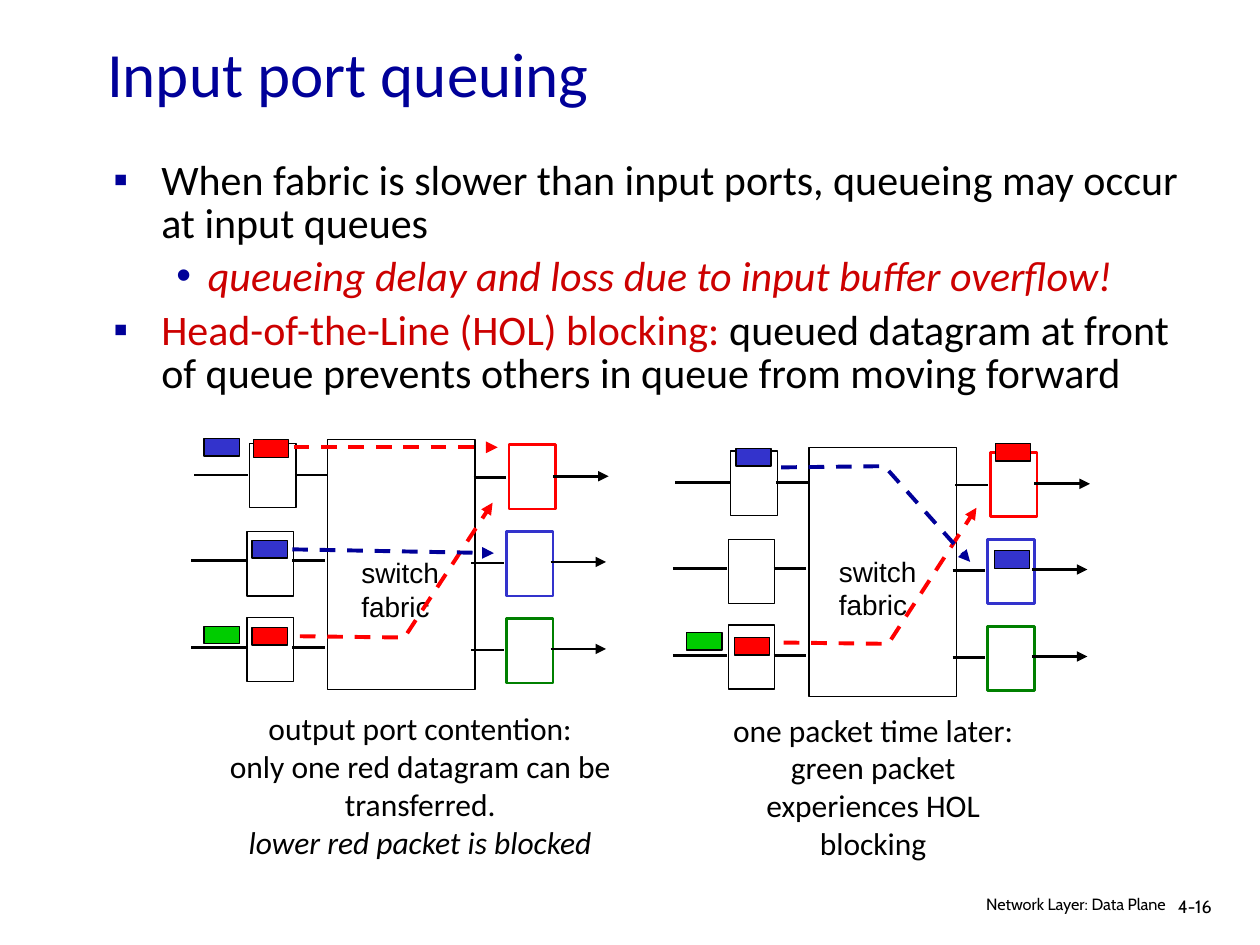
from dataclasses import dataclass

from lxml.etree import SubElement
from pptx import Presentation
from pptx.dml.color import RGBColor
from pptx.enum.dml import MSO_LINE
from pptx.enum.shapes import MSO_CONNECTOR, MSO_SHAPE
from pptx.enum.text import MSO_ANCHOR, MSO_AUTO_SIZE, PP_ALIGN as Align
from pptx.oxml.ns import qn
from pptx.util import Emu, Pt

EMU_PER_PX = 9144  # 100 px to the inch
BLACK, WHITE, NAVY, CRIMSON = "000000", "FFFFFF", "000099", "CC0000"
RED, BLUE, GREEN, DARK_GREEN = "FF0000", "3333CC", "00CC00", "008000"


@dataclass(frozen=True)
class PortRow:
    shift: int
    input_top: int
    input_wire: int
    output_top: int
    output_wire: int
    output_color: str


@dataclass(frozen=True)
class Packet:
    left: int
    top: int
    color: str


@dataclass(frozen=True)
class Route:
    points: tuple
    color: str


@dataclass(frozen=True)
class Run:
    text: str
    color: str = BLACK
    italic: bool = False


@dataclass(frozen=True)
class Bullet:
    runs: tuple
    mark: str = "▪"
    level: int = 0
    margin: int = 38
    hanging: int = 38


PORT_ROWS = (
    PortRow(0, 352, 377, 353, 379, RED),
    PortRow(-2, 422, 445, 422, 447, BLUE),
    PortRow(-2, 490, 514, 491, 516, DARK_GREEN),
)
BULLETS = (
    Bullet((Run("When fabric is slower than input ports, queueing may occur at input queues"),)),
    Bullet((Run("queueing delay and loss due to input buffer overflow!", CRIMSON, True),),
           "•", 1, 75, 25),
    Bullet((Run("Head-of-the-Line (HOL) blocking:", CRIMSON),
            Run(" queued datagram at front of queue prevents others in queue"
                " from moving forward"))),
)
PACKETS_NOW = (
    Packet(201, 349, RED), Packet(200, 429, BLUE), Packet(200, 498, RED),
    Packet(162, 348, BLUE), Packet(162, 497, GREEN),
)
PACKETS_LATER = (
    Packet(790, 352, RED), Packet(584, 356, BLUE), Packet(583, 506, RED),
    Packet(545, 502, GREEN), Packet(789, 437, BLUE),
)
ROUTES_NOW = (
    Route(((233, 355), (395, 355)), RED),
    Route(((238, 505), (321, 506), (391, 399)), RED),
    Route(((232, 436), (392, 439)), NAVY),
)
ROUTES_LATER = (
    Route(((622, 510), (705, 511), (775, 403)), RED),
    Route(((620, 371), (702, 370), (770, 446)), NAVY),
)


def px(*lengths: int) -> list:
    return [Emu(length * EMU_PER_PX) for length in lengths]


def rgb(color: str) -> RGBColor:
    return RGBColor.from_string(color)


def set_font(font, size: float, name: str, color: str = BLACK, italic: bool = False) -> None:
    font.size, font.name, font.italic = Pt(size), name, italic
    font.color.rgb = rgb(color)


def style_line(line, color: str, width: float, dashed: bool = False, arrow: bool = False) -> None:
    line.color.rgb = rgb(color)
    line.width = Pt(width)
    if dashed:
        line.dash_style = MSO_LINE.DASH
    if arrow:
        SubElement(line.fill._xPr, qn("a:tailEnd"), type="triangle")


def add_box(shapes, left: int, top: int, width: int, height: int,
            fill: str = WHITE, line: str = BLACK, weight: float = 0.75) -> None:
    shape = shapes.add_shape(MSO_SHAPE.RECTANGLE, *px(left, top, width, height))
    shape.shadow.inherit = False
    shape.fill.solid()
    shape.fill.fore_color.rgb = rgb(fill)
    style_line(shape.line, line, weight)


def add_line(shapes, start: tuple, end: tuple, color: str = BLACK, width: float = 1.5,
             dashed: bool = False, arrow: bool = False) -> None:
    connector = shapes.add_connector(MSO_CONNECTOR.STRAIGHT, *px(*start, *end))
    style_line(connector.line, color, width, dashed, arrow)
    SubElement(connector._element.spPr, qn("a:effectLst"))


def add_route(shapes, route: Route) -> None:
    start, *rest = route.points
    if len(rest) == 1:
        add_line(shapes, start, rest[0], route.color, 2.25, dashed=True, arrow=True)
        return
    builder = shapes.build_freeform(*start, scale=EMU_PER_PX)
    builder.add_line_segments(rest, close=False)
    shape = builder.convert_to_shape()
    shape.shadow.inherit = False
    shape.fill.background()
    style_line(shape.line, route.color, 2.25, dashed=True, arrow=True)


def add_text(shapes, lines: tuple, left: int, top: int, width: int, height: int, *,
             size: float = 18, font: str = "Calibri", align=Align.LEFT,
             spacing: float = 1.0) -> None:
    frame = shapes.add_textbox(*px(left, top, width, height)).text_frame
    frame.word_wrap = True
    for index, line in enumerate(lines):
        paragraph = frame.paragraphs[0] if index == 0 else frame.add_paragraph()
        paragraph.alignment = align
        paragraph.line_spacing = spacing
        run = paragraph.add_run()
        run.text = line.text
        set_font(run.font, size, font, line.color, line.italic)


def add_switch(slide, dx: int, dy: int, routes: tuple, packets: tuple, label: tuple) -> None:
    """Draw fabric, ports and wires moved by (dx, dy), then the traffic."""
    shapes = slide.shapes.add_group_shape().shapes
    add_box(shapes, 260 + dx, 349 + dy, 117, 198)
    for row in PORT_ROWS:
        x = dx + row.shift
        add_box(shapes, 198 + x, row.input_top + dy, 37, 51)
        add_box(shapes, 404 + x, row.output_top + dy, 37, 51, line=row.output_color, weight=1.5)
        wires = ((154, 197, row.input_wire), (234, 260, row.input_wire),
                 (376, 402, row.output_wire), (439, 483, row.output_wire - 1))
        for left, right, y in wires:
            add_line(shapes, (left + x, y + dy), (right + x, y + dy), arrow=left == 439)
    # Wide enough that each word stays on one line
    add_text(shapes, (Run("switch"), Run("fabric")), *label, 96, 64, size=16, font="Arial")
    for route in routes:
        add_route(shapes, route)
    for packet in packets:
        add_box(shapes, packet.left, packet.top, 28, 14, fill=packet.color)


def place(placeholder, left: int, top: int, width: int, height: int):
    placeholder.left, placeholder.top, placeholder.width, placeholder.height = px(
        left, top, width, height)
    placeholder.text_frame.auto_size = MSO_AUTO_SIZE.NONE
    return placeholder.text_frame


def fill_title(frame) -> None:
    frame.vertical_anchor = MSO_ANCHOR.MIDDLE
    paragraph = frame.paragraphs[0]
    paragraph.alignment = Align.LEFT
    run = paragraph.add_run()
    run.text = "Input port queuing"
    set_font(run.font, 36, "Calibri", NAVY)


def fill_bullets(frame) -> None:
    for index, bullet in enumerate(BULLETS):
        paragraph = frame.add_paragraph() if index else frame.paragraphs[0]
        paragraph.level = bullet.level
        paragraph.line_spacing = 0.85
        paragraph.space_before = Pt(6 if index else 0)
        properties = paragraph._p.get_or_add_pPr()
        properties.set("marL", str(bullet.margin * EMU_PER_PX))
        properties.set("indent", str(-bullet.hanging * EMU_PER_PX))
        SubElement(SubElement(properties, qn("a:buClr")), qn("a:srgbClr"), val=NAVY)
        SubElement(properties, qn("a:buFont"), typeface="Arial")
        SubElement(properties, qn("a:buChar"), char=bullet.mark)
        for part in bullet.runs:
            run = paragraph.add_run()
            run.text = part.text
            set_font(run.font, 24, "Calibri", part.color, part.italic)


def main() -> None:
    presentation = Presentation()
    presentation.slide_width, presentation.slide_height = px(1000, 750)
    slide = presentation.slides.add_slide(presentation.slide_layouts[1])

    # Title and list
    fill_title(place(slide.shapes.title, 75, 32, 850, 50))
    fill_bullets(place(slide.placeholders[1], 80, 123, 886, 290))

    # Two moments of the same switch
    add_switch(slide, 0, 0, ROUTES_NOW, PACKETS_NOW, (277, 436))
    add_switch(slide, 382, 6, ROUTES_LATER, PACKETS_LATER, (656, 435))

    # Captions
    add_text(slide.shapes, (Run("output port contention:"),
                            Run("only one red datagram can be transferred."),
                            Run("lower red packet is blocked", italic=True)),
             148, 558, 371, 130, align=Align.CENTER)
    add_text(slide.shapes, (Run("one packet time later: green packet experiences HOL blocking"),),
             571, 559, 244, 130, align=Align.CENTER)

    # Footer
    add_text(slide.shapes, (Run("4-16"),), 925, 708, 61, 30,
             size=10.2, font="Cabin", spacing=0.9)
    add_text(slide.shapes, (Run("Network Layer: Data Plane"),), 697, 708, 238, 26,
             size=9.3, font="Cabin", align=Align.RIGHT, spacing=0.8)
    presentation.save("out.pptx")


if __name__ == "__main__":
    main()
